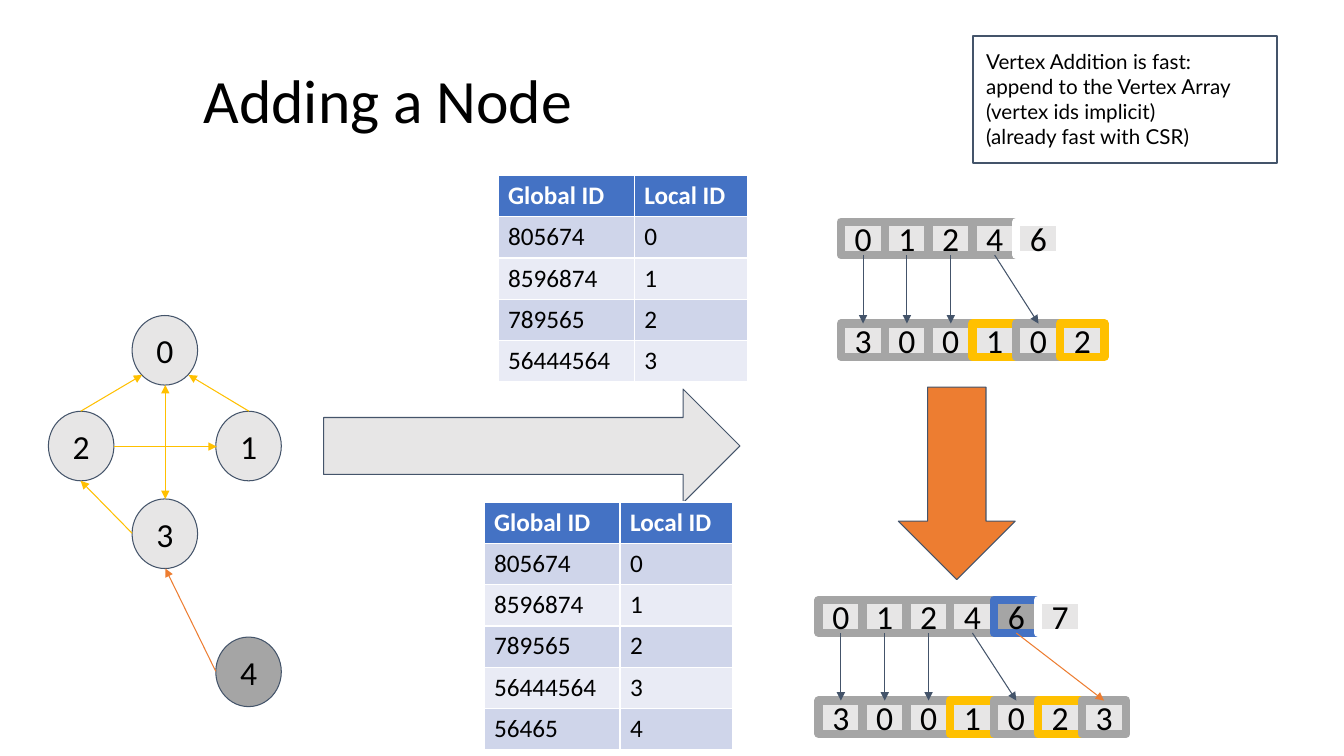
from pptx import Presentation
from pptx.dml.color import RGBColor
from pptx.enum.shapes import MSO_CONNECTOR, MSO_SHAPE as SHAPE
from pptx.enum.text import MSO_ANCHOR as ANCHOR, PP_ALIGN as ALIGN
from pptx.oxml.ns import qn
from pptx.util import Inches, Pt
from lxml.etree import SubElement

BLACK = RGBColor(0x00, 0x00, 0x00)
WHITE = RGBColor(0xFF, 0xFF, 0xFF)
LIGHT = RGBColor(0xE7, 0xE6, 0xE6)
GRAY = RGBColor(0xA5, 0xA5, 0xA5)
SLATE = RGBColor(0x44, 0x54, 0x6A)
BLUE = RGBColor(0x44, 0x72, 0xC4)
GOLD = RGBColor(0xFF, 0xC0, 0x00)
ORANGE = RGBColor(0xED, 0x7D, 0x31)
BANDS = [RGBColor(0xE9, 0xEB, 0xF5), RGBColor(0xCF, 0xD5, 0xEA)]

INSETS = {
    "margin_left": Inches(0.13), "margin_right": Inches(0.13),
    "margin_top": Inches(0.13), "margin_bottom": Inches(0.13),
    "word_wrap": True,
}

prs = Presentation()
prs.slide_width, prs.slide_height = Inches(13.33), Inches(7.5)
slide = prs.slides.add_slide(prs.slide_layouts[6])
shapes = slide.shapes


def add_box(kind, place, fill, line, weight, text="", size=24, face="Calibri",
            align=ALIGN.CENTER, anchor=ANCHOR.MIDDLE):
    box = shapes.add_shape(kind, *map(Inches, place))
    box.shadow.inherit = False
    if fill is None:
        box.fill.background()
    else:
        box.fill.solid()
        box.fill.fore_color.rgb = fill
    if line is None:
        box.line.fill.background()
    else:
        box.line.color.rgb = line
        box.line.width = Pt(weight)
    frame = box.text_frame
    for name, value in INSETS.items():
        setattr(frame, name, value)
    frame.vertical_anchor = anchor
    frame.text = text
    for paragraph in frame.paragraphs:
        paragraph.alignment = align
        paragraph.font.name = face
        paragraph.font.size = Pt(size)
        paragraph.font.color.rgb = BLACK
    return box


def add_arrow(start, end, color, ends=("tailEnd",)):
    arrow = shapes.add_connector(MSO_CONNECTOR.STRAIGHT, *map(Inches, (*start, *end)))
    arrow.line.color.rgb = color
    arrow.line.width = Pt(0.75)
    outline = arrow.line._get_or_add_ln()
    for end_name in ends:
        SubElement(outline, qn(f"a:{end_name}"), type="triangle")
    SubElement(arrow._element.spPr, qn("a:effectLst"))


title = add_box(SHAPE.RECTANGLE, (1.89, 0.57, 10.26, 1.33), None, None, 0,
                "Adding a Node", 44, align=ALIGN.LEFT, anchor=ANCHOR.TOP)
title.text_frame.paragraphs[0].line_spacing = 0.9

nodes = [("0", 1.31, 3.13, LIGHT), ("2", 0.48, 4.08, LIGHT), ("1", 2.14, 4.08, LIGHT),
         ("3", 1.31, 4.95, LIGHT), ("4", 2.14, 6.32, GRAY)]
for label, left, top, fill in nodes:
    add_box(SHAPE.OVAL, (left, top, 0.65, 0.69), fill, SLATE, 0.75, label)

edges = [
    ((0.8, 4.08), (1.41, 3.72), GOLD),
    ((1.13, 4.43), (2.15, 4.43), GOLD),
    ((1.64, 3.82), (1.64, 4.95), GOLD, ("headEnd", "tailEnd")),
    ((1.31, 5.29), (0.8, 4.77), GOLD),
    ((2.47, 4.08), (1.87, 3.72), GOLD),
    ((2.14, 6.66), (1.64, 5.64), ORANGE),
]
for edge in edges:
    add_arrow(*edge)

add_box(SHAPE.RIGHT_ARROW, (3.21, 3.86, 4.13, 1.13), LIGHT, SLATE, 0.75)
add_box(SHAPE.DOWN_ARROW, (8.91, 3.84, 1.16, 1.91), ORANGE, SLATE, 0.75)

CELL_W, CELL_H, PITCH = 0.44, 0.33, 0.87 / 2
csr_arrays = [
    (8.34, 2.2, 3.21, "01246", [GRAY] * 4 + [WHITE], "300102",
     [(0, 0), (1, 1), (2, 2), (3, 4)]),
    (8.12, 5.95, 6.95, "012467", [GRAY] * 4 + [BLUE, WHITE], "3001023",
     [(0, 0), (1, 1), (2, 2), (3, 4), (4, 6)]),
]
edge_borders = [GRAY, GRAY, GRAY, GOLD, GRAY, GOLD, GRAY]
for left, vertex_top, edge_top, vertices, vertex_borders, targets, offsets in csr_arrays:
    for top, values, borders in ((vertex_top, vertices, vertex_borders),
                                 (edge_top, targets, edge_borders)):
        for i, (value, border) in enumerate(zip(values, borders)):
            add_box(SHAPE.RECTANGLE, (left + i * PITCH, top, CELL_W, CELL_H),
                    GRAY if border == BLUE else LIGHT, border, 6, value)
    for vertex, target in offsets:
        center = left + CELL_W / 2
        add_arrow((center + vertex * PITCH, vertex_top + CELL_H),
                  (center + target * PITCH, edge_top),
                  ORANGE if vertex == 4 else SLATE)

add_box(SHAPE.RECTANGLE, (9.65, 0.36, 3.02, 1.26), None, SLATE, 1.5,
        "Vertex Addition is fast:\nappend to the Vertex Array\n"
        "(vertex ids implicit)\n(already fast with CSR)",
        14.7, "Lato", ALIGN.LEFT, ANCHOR.TOP)

global_ids = ["805674", "8596874", "789565", "56444564", "56465"]
for left, top, count in ((4.94, 1.74, 4), (4.8, 4.98, 5)):
    rows = [("Global ID", "Local ID")]
    rows += [(name, str(i)) for i, name in enumerate(global_ids[:count])]
    id_map = shapes.add_table(len(rows), 2, Inches(left), Inches(top), Inches(2.47),
                              Inches(0.41 * len(rows))).table
    for column, width in zip(id_map.columns, (1.35, 1.12)):
        column.width = Inches(width)
    for r, row in enumerate(rows):
        for c, text in enumerate(row):
            cell = id_map.cell(r, c)
            cell.fill.solid()
            cell.fill.fore_color.rgb = BANDS[r % 2] if r else BLUE
            cell.text = text
            font = cell.text_frame.paragraphs[0].font
            font.name, font.size, font.bold = "Calibri", Pt(18), r == 0
            font.color.rgb = BLACK if r else WHITE

prs.save("out.pptx")
